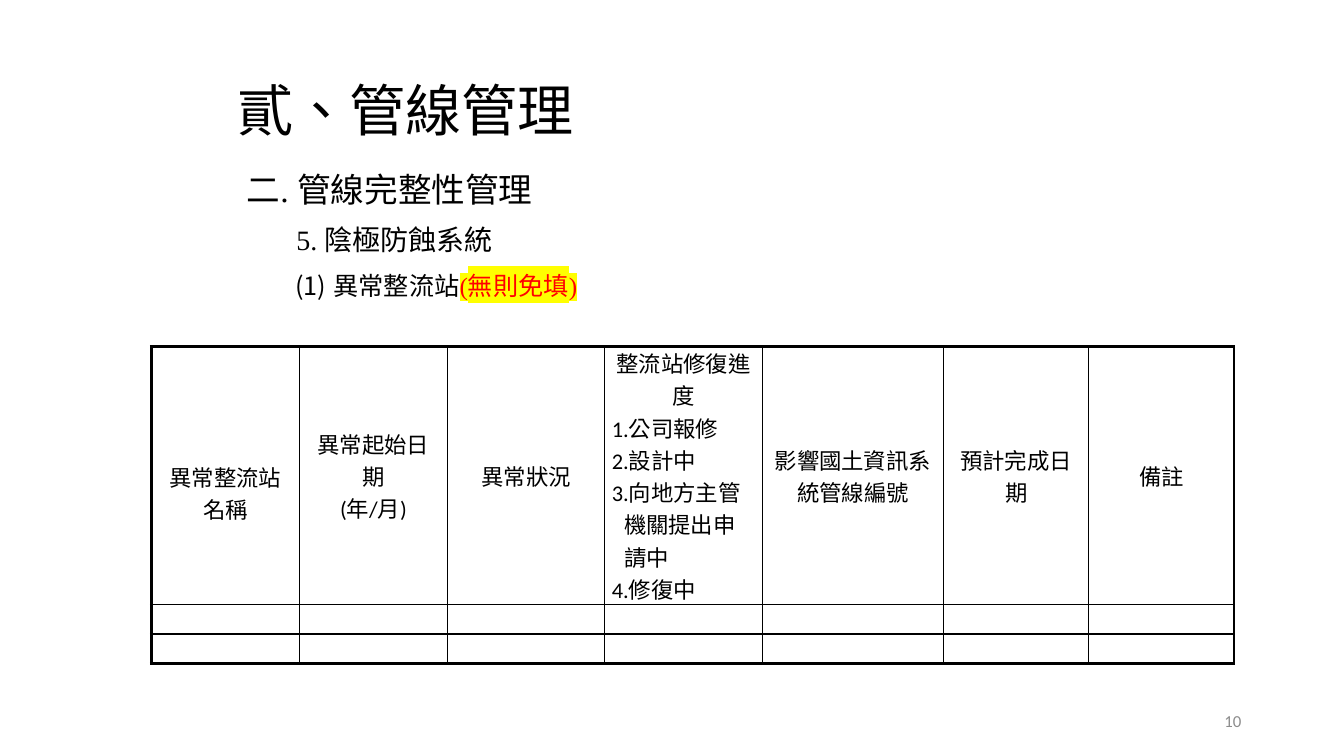
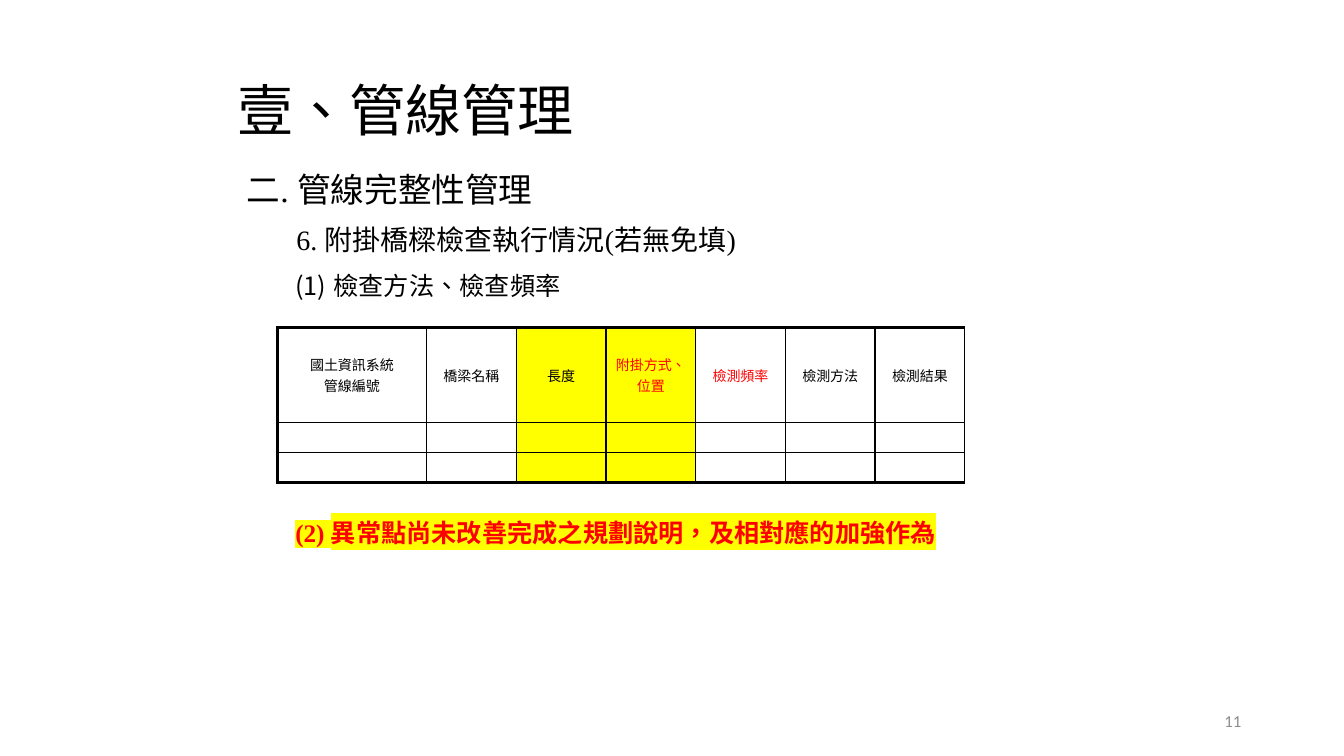
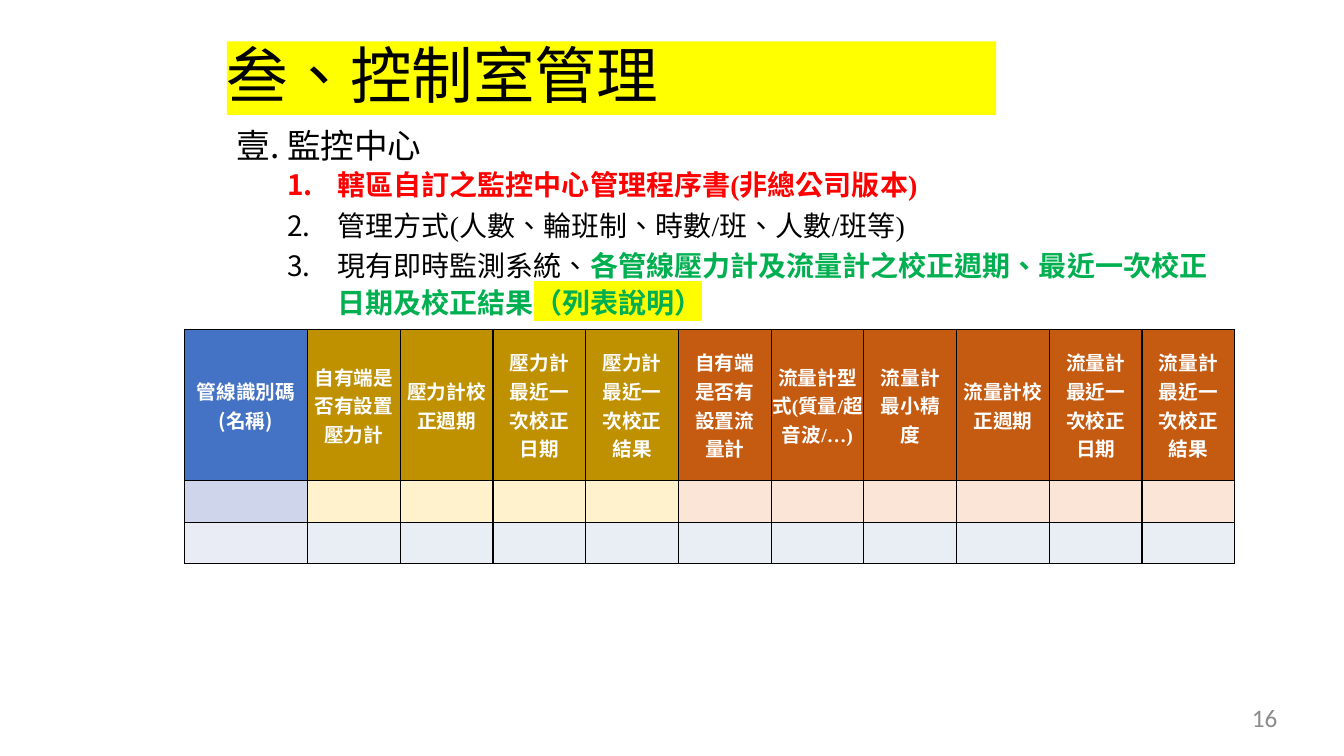
from dataclasses import dataclass
from typing import Optional

from lxml import etree
from pptx import Presentation
from pptx.dml.color import RGBColor
from pptx.enum import text as t
from pptx.oxml import ns
from pptx.util import Inches, Pt


@dataclass(frozen=True)
class Theme:
    """Colours, fonts and type sizes of the deck."""
    black: str = "000000"
    white: str = "FFFFFF"
    red: str = "FF0000"
    green: str = "00B050"
    yellow: str = "FFFF00"
    grey: str = "8C8C8C"
    blue: str = "4472C4"
    gold: str = "BF9000"
    rust: str = "C55A11"
    pale_blue: str = "CFD5EA"
    pale_gold: str = "FFF2CC"
    pale_rust: str = "FBE5D6"
    mist: str = "E9EBF5"
    haze: str = "E9EDF4"
    serif: str = "Times New Roman"
    sans: str = "Calibri"
    asian: str = "Noto Sans CJK SC"
    banner: int = 44
    title: int = 40
    section: int = 24
    item: int = 20
    detail: int = 18
    table: int = 16
    dense: int = 14
    small: int = 12
    tiny: int = 10


THEME = Theme()


@dataclass(frozen=True)
class Area:
    """A rectangle in inches."""
    left: float
    top: float
    width: float
    height: float

    def lengths(self) -> tuple:
        """Return the four sides as slide lengths."""
        return tuple(Inches(side) for side in (self.left, self.top, self.width, self.height))


@dataclass(frozen=True)
class Span:
    """A run and what sets it apart from its paragraph."""
    text: str
    color: Optional[str] = None
    bold: Optional[bool] = None
    highlight: Optional[str] = None
    font: Optional[str] = None


@dataclass(frozen=True)
class Para:
    """A paragraph with its format; indents are in inches."""
    spans: tuple
    size: int
    color: str = THEME.black
    font: str = THEME.serif
    bold: bool = False
    align: t.PP_ALIGN = t.PP_ALIGN.LEFT
    spacing: float = 1.0
    after: float = 0
    margin: float = 0
    hanging: float = 0
    number: str = ""
    level: int = 0


@dataclass(frozen=True)
class Cell:
    """A table cell with its paragraphs, fill and margins in inches."""
    paras: tuple = ()
    fill: Optional[str] = None
    side: float = 0.07
    top: float = 0
    bottom: float = 0


@dataclass(frozen=True)
class Edges:
    """Outer border widths of a table in points."""
    left: float = 1
    right: float = 1
    top: float = 1
    bottom: float = 1


def write_span(paragraph, span: Span) -> None:
    """Add one run to a paragraph."""
    run = paragraph.add_run()
    run.text = span.text
    if span.color:
        run.font.color.rgb = RGBColor.from_string(span.color)
    if span.bold is not None:
        run.font.bold = span.bold
    if span.highlight:
        mark = etree.SubElement(run._r.get_or_add_rPr(), ns.qn("a:highlight"))
        etree.SubElement(mark, ns.qn("a:srgbClr"), val=span.highlight)
    if span.font:
        run.font.name = span.font


def write(frame, paras: tuple) -> None:
    """Fill a text frame with paragraphs."""
    for index, para in enumerate(paras):
        paragraph = frame.paragraphs[0] if index == 0 else frame.add_paragraph()
        paragraph.alignment = para.align
        paragraph.level = para.level
        paragraph.line_spacing = para.spacing
        paragraph.space_before = Pt(0)
        paragraph.space_after = Pt(para.after)
        properties = paragraph._p.get_or_add_pPr()
        properties.set("marL", str(Inches(para.margin)))
        properties.set("indent", str(Inches(para.hanging)))
        if para.number:
            etree.SubElement(properties, ns.qn("a:buFont"), typeface=THEME.asian)
            etree.SubElement(properties, ns.qn("a:buAutoNum"), type=para.number)
        font = paragraph.font
        font.size = Pt(para.size)
        font.bold = para.bold
        font.color.rgb = RGBColor.from_string(para.color)
        font.name = para.font
        defaults = properties.find(ns.qn("a:defRPr"))
        defaults.set("lang", "zh-TW")
        etree.SubElement(defaults, ns.qn("a:ea"), typeface=THEME.asian)
        for span in para.spans:
            write_span(paragraph, span)


def add_text(page, area: Area, paras: tuple, wrap: bool = True,
             anchor: t.MSO_ANCHOR = t.MSO_ANCHOR.TOP, inset: float = 0.1) -> None:
    """Add a text box."""
    frame = page.shapes.add_textbox(*area.lengths()).text_frame
    frame.word_wrap = wrap
    frame.vertical_anchor = anchor
    frame.margin_left = frame.margin_right = Inches(inset)
    write(frame, paras)


def add_page(deck, area: Area, title: Para, number: int, number_area: Area,
             number_size: int = THEME.small, inset: float = 0.1, fill: str = ""):
    """Add a slide with its title and page number."""
    page = deck.slides.add_slide(deck.slide_layouts[5])
    box = page.shapes.title
    box.left, box.top, box.width, box.height = area.lengths()
    if fill:
        box.fill.solid()
        box.fill.fore_color.rgb = RGBColor.from_string(fill)
    frame = box.text_frame
    frame.word_wrap = True
    frame.auto_size = t.MSO_AUTO_SIZE.NONE
    frame.vertical_anchor = t.MSO_ANCHOR.MIDDLE
    frame.margin_left = frame.margin_right = frame.margin_top = frame.margin_bottom = 0
    write(frame, (title,))
    label = Para((Span(str(number)),), number_size, THEME.grey, THEME.sans, align=t.PP_ALIGN.RIGHT)
    add_text(page, number_area, (label,), anchor=t.MSO_ANCHOR.MIDDLE, inset=inset)
    return page


def draw_borders(cell, widths: dict) -> None:
    """Give a cell black borders of the given widths in points."""
    properties = cell._tc.get_or_add_tcPr()
    for index, (side, width) in enumerate(widths.items()):
        line = etree.Element(ns.qn(f"a:ln{side}"), w=str(Pt(width)))
        fill = etree.SubElement(line, ns.qn("a:solidFill"))
        etree.SubElement(fill, ns.qn("a:srgbClr"), val=THEME.black)
        properties.insert(index, line)


def add_grid(page, left: float, top: float, columns: tuple, heights: tuple,
             rows: tuple, edges: Edges) -> None:
    """Add a bordered table."""
    area = Area(left, top, sum(columns), sum(heights))
    table = page.shapes.add_table(len(rows), len(columns), *area.lengths()).table
    table.first_row = table.horz_banding = False
    for column, width in zip(table.columns, columns):
        column.width = Inches(width)
    for y, (row, height) in enumerate(zip(rows, heights)):
        table.rows[y].height = Inches(height)
        for x, content in enumerate(row):
            cell = table.cell(y, x)
            cell.vertical_anchor = t.MSO_ANCHOR.MIDDLE
            cell.margin_left = cell.margin_right = Inches(content.side)
            cell.margin_top, cell.margin_bottom = Inches(content.top), Inches(content.bottom)
            if content.fill:
                cell.fill.solid()
                cell.fill.fore_color.rgb = RGBColor.from_string(content.fill)
            else:
                cell.fill.background()
            write(cell.text_frame, content.paras or (Para((), THEME.tiny),))
            draw_borders(cell, {
                "L": edges.left if x == 0 else 1,
                "R": edges.right if x == len(columns) - 1 else 1,
                "T": edges.top if y == 0 else 1,
                "B": edges.bottom if y == len(rows) - 1 else 1,
            })


def centred(lines: str, size: int, font: str = THEME.serif, color: str = THEME.black,
            bold: bool = False) -> tuple:
    """Make one centred paragraph for each line."""
    return tuple(Para((Span(line),), size, color, font, bold, t.PP_ALIGN.CENTER)
                 for line in lines.split("\n"))


def add_pipeline_page(deck, title: str, number: int, item: str, detail: tuple):
    """Add a pipeline page with its three-level heading."""
    heading = Para((Span(title),), THEME.title, spacing=0.9)
    page = add_page(deck, Area(2.36, 0.82, 8.62, 0.61), heading, number, Area(9.41, 6.95, 3, 0.4))
    add_text(page, Area(2.35, 1.67, 8.35, 1.42), (
        Para((Span("二. 管線完整性管理"),), THEME.section, spacing=0.9, after=12),
        Para((Span(item),), THEME.item, spacing=0.9, after=12, margin=0.49),
        Para(detail, THEME.detail, spacing=0.9, after=12, margin=0.86, hanging=-0.38,
             number="arabicParenBoth"),
    ))
    return page


def add_rectifier_page(deck) -> None:
    """Add the page on faulty rectifier stations."""
    page = add_pipeline_page(deck, "貳、管線管理", 10, "5. 陰極防蝕系統", (
        Span("異常整流站"), Span("(無則免填)", THEME.red, highlight=THEME.yellow)))

    def head(lines: str, top: float = 0, side: float = 0.07) -> Cell:
        """Make a header cell."""
        return Cell(centred(lines, THEME.table, THEME.sans), side=side, top=top)

    steps = tuple(
        Para((Span(step),), THEME.table, font=THEME.sans, margin=margin, hanging=-margin)
        for step, margin in (("1.公司報修", 0), ("2.設計中", 0),
                             ("3.向地方主管機關提出申請中", 0.12), ("4.修復中", 0)))
    progress = Cell(centred("整流站修復進度", THEME.table, THEME.sans) + steps)
    header = (head("異常整流站\n名稱", 0.33), head("異常起始日期\n(年/月)", side=0.1),
              head("異常狀況"), progress, head("影響國土資訊系統管線編號"),
              head("預計完成日期"), head("備註"))
    blank = (Cell(),) * len(header)
    add_grid(page, 1.5, 3.44, (1.47, 1.47, 1.56, 1.56, 1.8, 1.44, 1.44), (2.56, 0.29, 0.29),
             (header, blank, blank), Edges(2.25, 2.25, 2.25, 2.25))


def add_bridge_page(deck) -> None:
    """Add the page on bridge inspections."""
    page = add_pipeline_page(deck, "壹、管線管理", 11, "6. 附掛橋樑檢查執行情況(若無免填)",
                             (Span("檢查方法、檢查頻率"),))
    columns = (("國土資訊系統\n管線編號", THEME.black, None), ("橋梁名稱", THEME.black, None),
               ("長度", THEME.black, THEME.yellow), ("附掛方式、位置", THEME.red, THEME.yellow),
               ("檢測頻率", THEME.red, None), ("檢測方法", THEME.black, None),
               ("檢測結果", THEME.black, None))
    header = tuple(Cell(centred(lines, THEME.tiny, color=color), fill)
                   for lines, color, fill in columns)
    blank = tuple(Cell(fill=fill) for _, _, fill in columns)
    add_grid(page, 2.75, 3.25, (1.48,) + (0.89,) * 6, (0.94, 0.3, 0.3),
             (header, blank, blank), Edges(left=2.25, top=2.25, bottom=2.25))
    note = Span("(2) 異常點尚未改善完成之規劃說明，及相對應的加強作為", highlight=THEME.yellow)
    add_text(page, Area(2.83, 5.08, 6.75, 0.4),
             (Para((note,), THEME.detail, THEME.red, bold=True),), wrap=False)


def add_control_page(deck) -> None:
    """Add the page on the control room."""
    title = Para((Span("叁"), Span("、控制室管理", font=THEME.asian)), THEME.banner, spacing=0.9)
    page = add_page(deck, Area(2.25, 0.41, 7.63, 0.73), title, 16, Area(9.6, 6.97, 3.07, 0.3),
                    THEME.detail, 0, THEME.yellow)
    items = (
        (Span("轄區自訂之監控中心管理程序書(非總公司版本)"),),
        (Span("管理方式(人數、輪班制、時數/班、人數/班等)"),),
        (Span("現有即時監測系統、"),
         Span("各管線壓力計及流量計之校正週期、最近一次校正日期及校正結果", THEME.green, True),
         Span("（列表說明）", THEME.green, True, THEME.yellow)),
    )
    centre = Para((Span("監控中心"),), THEME.section, spacing=1.5, margin=0.5, hanging=-0.5,
                  number="ea1ChtPeriod")
    add_text(page, Area(2.25, 0.99, 10, 2.2), (centre,) + tuple(
        Para(spans, THEME.item, THEME.black if index else THEME.red, bold=index == 0,
             spacing=1.08, after=3, margin=1, hanging=-0.5, number="arabicPeriod", level=1)
        for index, spans in enumerate(items)))

    def head(lines: str, fill: str, side: float = 0.1, font: str = THEME.serif) -> Cell:
        """Make a header cell."""
        return Cell(centred(lines, THEME.dense, font, THEME.white, True), fill, side, 0.02, 0.02)

    header = (
        head("管線識別碼\n(名稱)", THEME.blue, font=THEME.asian),
        head("自有端是否有設置壓力計", THEME.gold, 0.01),
        head("壓力計校正週期", THEME.gold, 0.01),
        head("壓力計最近一次校正日期", THEME.gold, font=THEME.asian),
        head("壓力計最近一次校正結果", THEME.gold, font=THEME.asian),
        head("自有端是否有設置流量計", THEME.rust),
        head("流量計型式(質量/超音波/…)", THEME.rust, 0.01),
        head("流量計最小精度", THEME.rust),
        head("流量計校正週期", THEME.rust, 0.01),
        head("流量計最近一次校正日期", THEME.rust, font=THEME.asian),
        head("流量計最近一次校正結果", THEME.rust, font=THEME.asian),
    )
    tints = {THEME.blue: THEME.pale_blue, THEME.gold: THEME.pale_gold,
             THEME.rust: THEME.pale_rust}
    first = tuple(Cell(fill=tints[cell.fill]) for cell in header)
    second = (Cell(fill=THEME.mist),) + (Cell(fill=THEME.haze),) * (len(header) - 1)
    add_grid(page, 1.83, 3.27, (1.22,) + (0.92,) * 10, (1.5, 0.41, 0.41),
             (header, first, second), Edges())


def main() -> None:
    """Build and save the deck."""
    deck = Presentation()
    deck.slide_width, deck.slide_height = Inches(13.33), Inches(7.5)
    add_rectifier_page(deck)
    add_bridge_page(deck)
    add_control_page(deck)
    deck.save("out.pptx")


if __name__ == "__main__":
    main()
